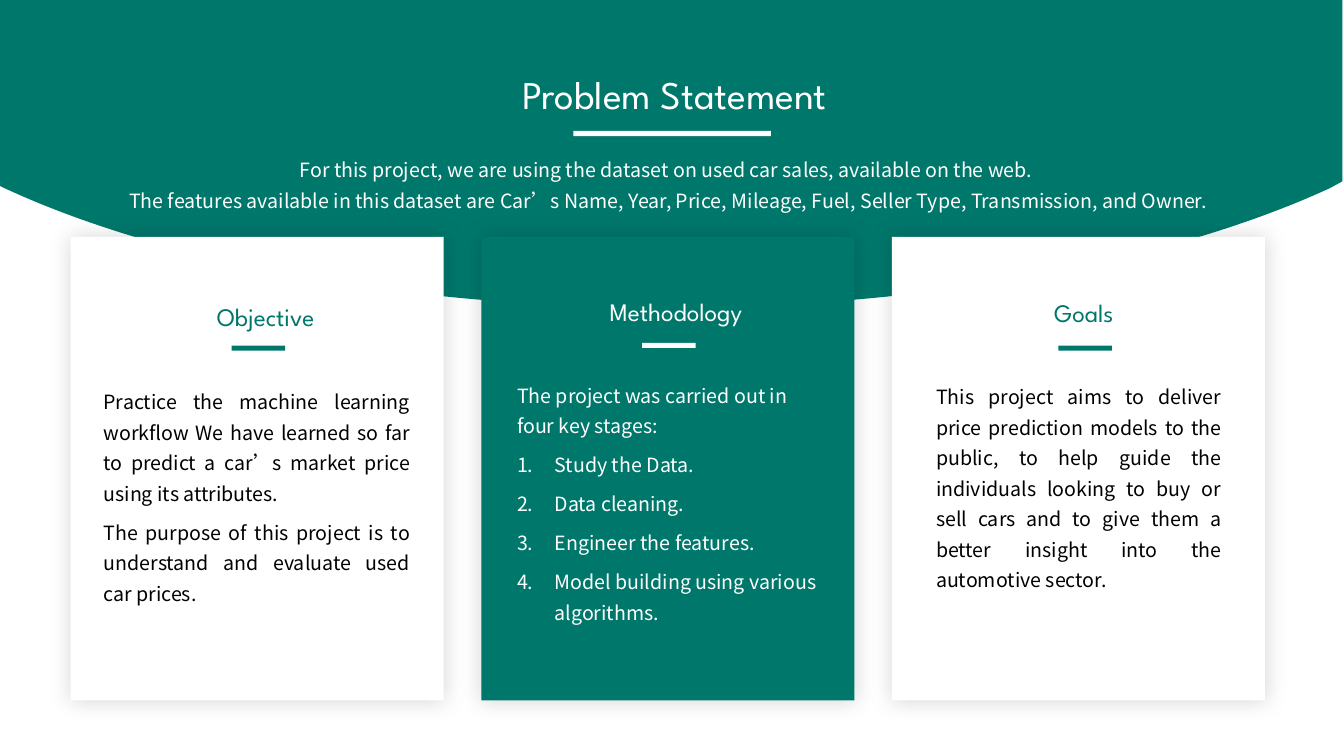
from lxml.etree import SubElement
from pptx import Presentation
from pptx.dml.color import RGBColor
from pptx.enum.shapes import MSO_SHAPE
from pptx.enum.text import MSO_AUTO_SIZE, PP_ALIGN
from pptx.oxml.ns import qn
from pptx.util import Cm, Pt

GREEN, WHITE, BLACK = "00776B", "FFFFFF", "000000"
HEADING_FONT, BODY_FONT = "League Spartan", "Noto Sans CJK SC"
CARD_LEFT, CARD_TOP, CARD_PITCH = 1.78, 5.97, 10.35
CARD_WIDTH, CARD_HEIGHT = 9.4, 11.68


def color(value):
    return RGBColor.from_string(value)


def fill_shape(shape, fill):
    shape.shadow.inherit = False
    shape.fill.solid()
    shape.fill.fore_color.rgb = color(fill)
    shape.line.fill.background()


def add_rectangle(slide, left, top, width, height, fill):
    shape = slide.shapes.add_shape(
        MSO_SHAPE.RECTANGLE, Cm(left), Cm(top), Cm(width), Cm(height))
    fill_shape(shape, fill)
    return shape


def add_soft_shadow(shape):
    effects = shape._element.spPr.find(qn("a:effectLst"))
    shadow = SubElement(effects, qn("a:outerShdw"), blurRad=str(Pt(16)),
                        dist="0", dir="0", algn="ctr", rotWithShape="0")
    tint = SubElement(shadow, qn("a:srgbClr"), val=BLACK)
    SubElement(tint, qn("a:alpha"), val="17000")


def number_paragraph(paragraph):
    properties = paragraph._p.get_or_add_pPr()
    properties.set("marL", str(Cm(0.95)))
    properties.set("indent", str(-Cm(0.95)))
    SubElement(properties, qn("a:buFont"), typeface="+mj-lt")
    SubElement(properties, qn("a:buAutoNum"), type="arabicPeriod")


def add_text(slide, box, lines, size, font, text_color, align=PP_ALIGN.CENTER,
             spacing=None, after=0, numbered_from=None):
    shape = slide.shapes.add_textbox(*[Cm(length) for length in box])
    frame = shape.text_frame
    frame.word_wrap = True
    frame.auto_size = MSO_AUTO_SIZE.SHAPE_TO_FIT_TEXT
    frame.text = "\n".join(lines)
    for index, paragraph in enumerate(frame.paragraphs):
        paragraph.alignment = align
        paragraph.line_spacing = spacing
        paragraph.space_after = Pt(after)
        if numbered_from is not None and index >= numbered_from:
            number_paragraph(paragraph)
        for run in paragraph.runs:
            run.font.size = Pt(size)
            run.font.name = font
            run.font.color.rgb = color(text_color)
            SubElement(run.font._element, qn("a:ea"), typeface=font)


def bezier(start, control1, control2, end, steps=60):
    points = []
    for step in range(1, steps + 1):
        t = step / steps
        weights = ((1 - t) ** 3, 3 * t * (1 - t) ** 2, 3 * t * t * (1 - t), t ** 3)
        points.append(tuple(
            sum(weight * value for weight, value in zip(weights, values))
            for values in zip(start, control1, control2, end)))
    return points


def add_curved_banner(slide):
    right, bottom, left = (33.5, 4.75), (16.81, 7.75), (0.13, 4.75)
    outline = [(33.83, 0), (33.83, 4.57), right]
    outline += bezier(right, (29.51, 6.58), (23.52, 7.75), bottom)
    outline += bezier(bottom, (10.08, 7.75), (4.09, 6.58), left)
    outline.append((-0.03, 4.67))
    builder = slide.shapes.build_freeform(Cm(-0.03), 0)
    builder.add_line_segments([(Cm(x), Cm(y)) for x, y in outline], close=True)
    fill_shape(builder.convert_to_shape(), GREEN)


def add_card(slide, column, fill, accent, heading, heading_at, rule_at,
             body_box, lines, body_color, **body_format):
    left = CARD_LEFT + column * CARD_PITCH
    card = add_rectangle(slide, left, CARD_TOP, CARD_WIDTH, CARD_HEIGHT, fill)
    add_soft_shadow(card)
    add_text(slide, (*heading_at, 6.07, 1.02), [heading], 18, HEADING_FONT, accent)
    add_text(slide, body_box, lines, 14, BODY_FONT, body_color,
             spacing=1.3, **body_format)
    add_rectangle(slide, *rule_at, 1.35, 0.13, accent)


def main():
    presentation = Presentation()
    presentation.slide_width, presentation.slide_height = Cm(33.87), Cm(19.05)
    slide = presentation.slides.add_slide(presentation.slide_layouts[6])

    # Banner with title and introduction
    add_curved_banner(slide)
    add_text(slide, (11.35, 1.65, 11.3, 1.45), ["Problem Statement"],
             28, HEADING_FONT, WHITE)
    add_rectangle(slide, 14.45, 3.3, 4.98, 0.13, WHITE)
    add_text(slide, (1.8, 3.68, 30.1, 1.75), [
        "For this project, we are using the dataset on used car sales, "
        "available on the web. ",
        "The features available in this dataset are Car’s Name, Year, Price, "
        "Mileage, Fuel, Seller Type, Transmission, and Owner."],
        14, BODY_FONT, WHITE, spacing=1.3)

    # Cards
    add_card(slide, 0, WHITE, GREEN, "Objective", (3.66, 7.47), (5.84, 8.71),
             (2.36, 9.53, 8.23, 5.84), [
                 "Practice the machine learning workflow We have learned so far "
                 "to predict a car’s market price using its attributes. ",
                 "The purpose of this project is to understand and evaluate "
                 "used car prices."],
             BLACK, align=PP_ALIGN.JUSTIFY, after=6)
    add_card(slide, 1, GREEN, WHITE, "Methodology", (14, 7.34), (16.18, 8.64),
             (12.78, 9.37, 8.1, 6.48), [
                 "The project was carried out in four key stages:",
                 "Study the Data.", "Data cleaning.", "Engineer the features.",
                 "Model building using various algorithms."],
             WHITE, align=PP_ALIGN.LEFT, after=6, numbered_from=1)
    add_card(slide, 2, WHITE, GREEN, "Goals", (24.28, 7.37), (26.67, 8.71),
             (23.34, 9.4, 7.7, 5.64), [
                 "This project aims to deliver price prediction models to the "
                 "public, to help guide the individuals looking to buy or sell "
                 "cars and to give them a better insight into the automotive "
                 "sector."],
             BLACK, align=PP_ALIGN.JUSTIFY)

    presentation.save("out.pptx")


if __name__ == "__main__":
    main()
